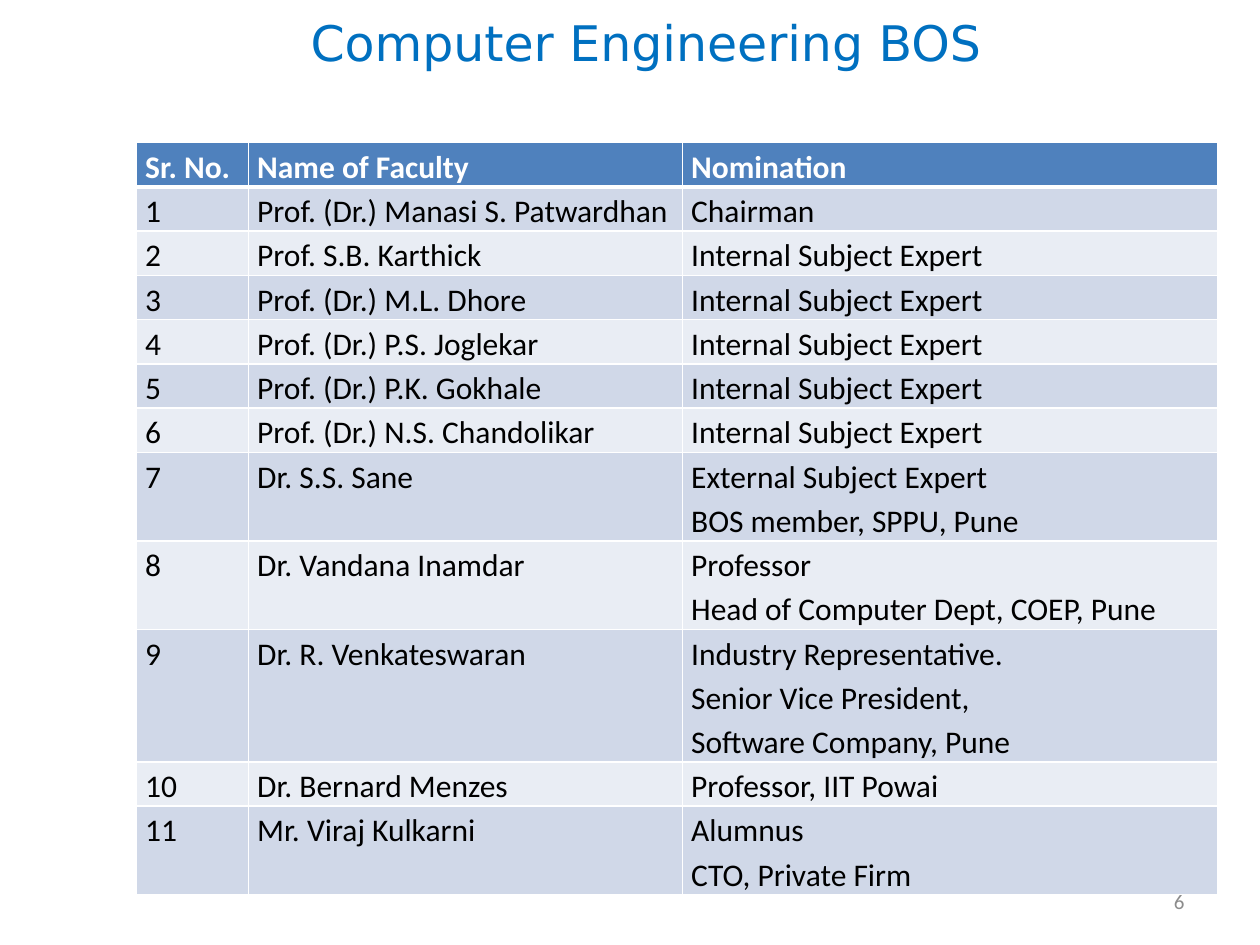
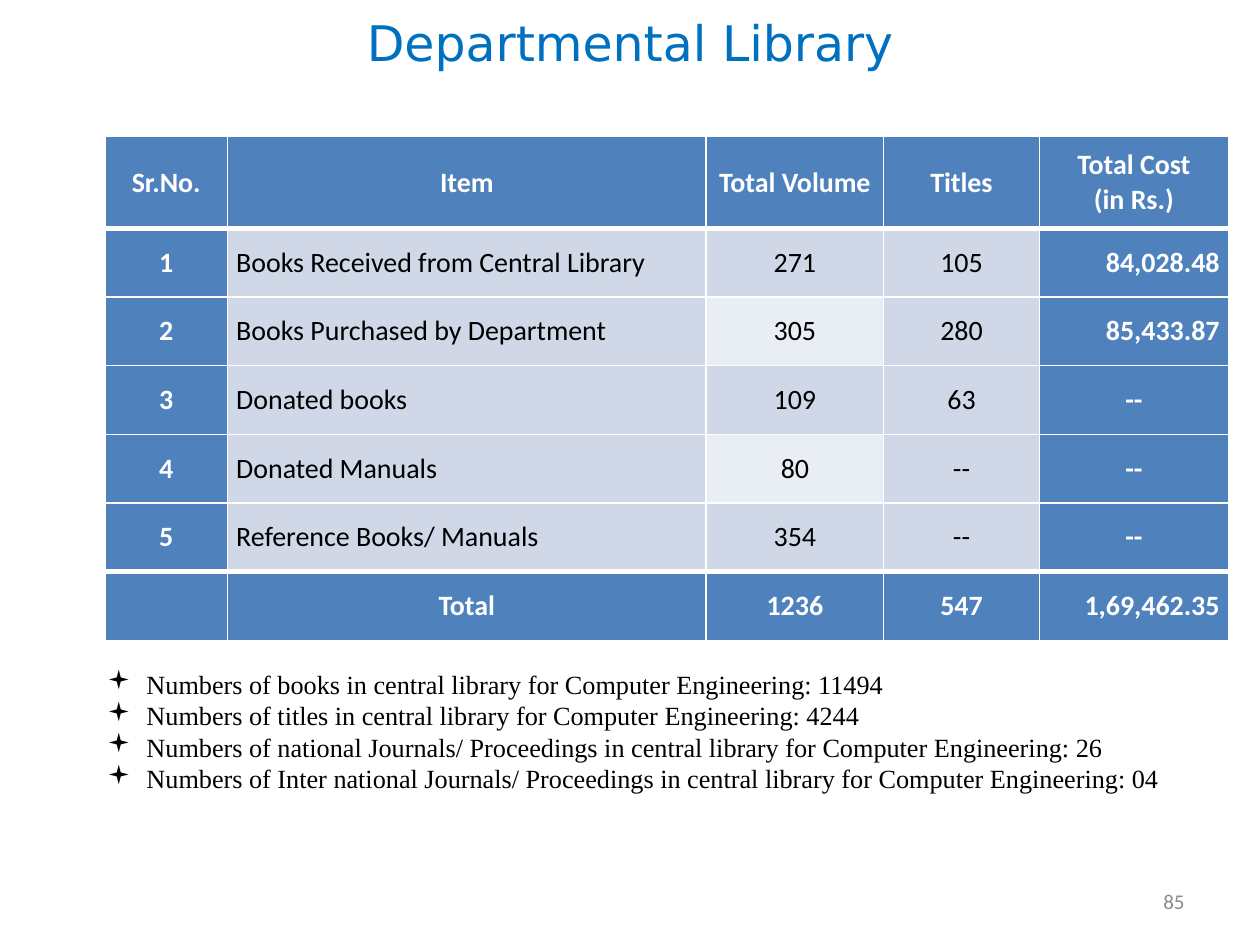
"""Build the board of studies and departmental library slides."""
from lxml import etree
from pptx import Presentation
from pptx.dml.color import RGBColor
from pptx.enum.text import MSO_ANCHOR, MSO_AUTO_SIZE, PP_ALIGN
from pptx.oxml.ns import qn
from pptx.util import Pt

LEFT, CENTER, RIGHT, JUSTIFY = PP_ALIGN.LEFT, PP_ALIGN.CENTER, PP_ALIGN.RIGHT, PP_ALIGN.JUSTIFY
TOP, MIDDLE = MSO_ANCHOR.TOP, MSO_ANCHOR.MIDDLE
NO_FIT = MSO_AUTO_SIZE.NONE
TITLE_AND_BODY, TITLE_ONLY = 1, 5

COLORS = {"title": "0070C0", "header": "4F81BD", "band": "D0D8E8", "light": "E9EDF4",
          "white": "FFFFFF", "black": "000000", "number": "8C8C8C"}
TITLE_FONT = {"size": Pt(28), "name": "DejaVu Sans", "bold": False}
NUMBER_FONT = {"size": Pt(12), "name": "Calibri"}
LIST_FONT = {"size": Pt(15), "name": "Times New Roman"}
FRAME = {"word_wrap": True, "auto_size": NO_FIT}
CELL_MARGINS = {"margin_left": Pt(5), "margin_right": Pt(5), "margin_top": 0, "margin_bottom": 0}
THIN, THICK = Pt(1), Pt(3)

EXPERT = "Internal Subject Expert"
BOARD = [
    ("Sr. No.", "Name of Faculty", "Nomination"),
    ("1", "Prof. (Dr.) Manasi S. Patwardhan", "Chairman"),
    ("2", "Prof. S.B. Karthick", EXPERT),
    ("3", "Prof. (Dr.) M.L. Dhore", EXPERT),
    ("4", "Prof. (Dr.) P.S. Joglekar", EXPERT),
    ("5", "Prof. (Dr.) P.K. Gokhale", EXPERT),
    ("6", "Prof. (Dr.) N.S. Chandolikar", EXPERT),
    ("7", "Dr. S.S. Sane", "External Subject Expert\nBOS member, SPPU, Pune"),
    ("8", "Dr. Vandana Inamdar", "Professor\nHead of Computer Dept, COEP, Pune"),
    ("9", "Dr. R. Venkateswaran",
     "Industry Representative.\nSenior Vice President,\nSoftware Company, Pune"),
    ("10", "Dr. Bernard Menzes", "Professor, IIT Powai"),
    ("11", "Mr. Viraj Kulkarni", "Alumnus\nCTO, Private Firm"),
]
LIBRARY = [
    ("Sr.No.", "Item", "Total Volume", "Titles", "Total Cost\n(in Rs.)"),
    ("1", "Books Received from Central Library", "271", "105", "84,028.48"),
    ("2", "Books Purchased by Department", "305", "280", "85,433.87"),
    ("3", "Donated books", "109", "63", "--"),
    ("4", "Donated Manuals", "80", "--", "--"),
    ("5", "Reference Books/ Manuals", "354", "--", "--"),
    ("", "Total", "1236", "547", "1,69,462.35"),
]
HOLDINGS = [
    "Numbers of books in central library for Computer Engineering: 11494",
    "Numbers of titles in central library for Computer Engineering: 4244",
    "Numbers of national Journals/ Proceedings in central library for Computer Engineering: 26",
    "Numbers of Inter national Journals/ Proceedings in central library for Computer Engineering: 04",
]


def apply(target, values):
    for attribute, value in values.items():
        setattr(target, attribute, value)


def place(shape, left, top, width, height):
    apply(shape, {"left": Pt(left), "top": Pt(top), "width": Pt(width), "height": Pt(height)})


def write(frame, text, font, color, paragraph_format):
    frame.text = text
    for paragraph in frame.paragraphs:
        apply(paragraph, paragraph_format)
        for run in paragraph.runs:
            apply(run.font, font)
            run.font.color.rgb = RGBColor.from_string(COLORS[color])


def add_titled_slide(deck, layout, title, number, left, width):
    slide = deck.slides.add_slide(deck.slide_layouts[layout])
    heading = slide.shapes.title
    place(heading, left, 0, width, 48)
    apply(heading.text_frame, {**FRAME, "vertical_anchor": MIDDLE})
    write(heading.text_frame, title, TITLE_FONT, "title", {"alignment": CENTER})
    page = slide.shapes.add_textbox(Pt(516), Pt(500.5), Pt(168), Pt(28.75))
    apply(page.text_frame, {**FRAME, "vertical_anchor": MIDDLE})
    write(page.text_frame, number, NUMBER_FONT, "number", {"alignment": RIGHT})
    return slide


def draw_borders(cell, top, bottom):
    properties = cell._tc.get_or_add_tcPr()
    for side, width in (("L", THIN), ("R", THIN), ("T", top), ("B", bottom)):
        line = etree.SubElement(properties, qn(f"a:ln{side}"), w=str(width))
        fill = etree.SubElement(line, qn("a:solidFill"))
        etree.SubElement(fill, qn("a:srgbClr"), val=COLORS["white"])


def add_grid(slide, rows, left, top, widths, heights, thick_above, style_cell):
    grid = slide.shapes.add_table(len(rows), len(widths), Pt(left), Pt(top),
                                  Pt(sum(widths)), Pt(sum(heights))).table
    for column, width in zip(grid.columns, widths):
        column.width = Pt(width)
    for r, (texts, height) in enumerate(zip(rows, heights)):
        grid.rows[r].height = Pt(height)
        edges = [THICK if edge in thick_above else THIN for edge in (r, r + 1)]
        for c, text in enumerate(texts):
            cell = grid.cell(r, c)
            fill, size, anchor, paragraph_format = style_cell(r, c, text)
            apply(cell, {**CELL_MARGINS, "vertical_anchor": anchor})
            draw_borders(cell, *edges)
            cell.fill.solid()
            cell.fill.fore_color.rgb = RGBColor.from_string(COLORS[fill])
            strong = fill == "header"
            font = {"size": Pt(size), "name": "Calibri", "bold": strong}
            write(cell.text_frame, text, font, "white" if strong else "black", paragraph_format)


def style_board(r, c, text):
    fill = "header" if r == 0 else "band" if r % 2 else "light"
    return fill, 18, TOP, {"alignment": JUSTIFY, "line_spacing": 1.15}


def style_library(r, c, text):
    last_row, last_column = len(LIBRARY) - 1, len(LIBRARY[0]) - 1
    if r in (0, last_row) or c in (0, last_column):
        fill = "header"
    else:
        fill = "light" if c == 2 and r % 2 == 0 else "band"
    alignment = CENTER
    if c == 1 and 0 < r < last_row:
        alignment = LEFT
    elif c == last_column and r > 0 and text != "--":
        alignment = RIGHT
    return fill, 16, MIDDLE, {"alignment": alignment}


def add_bullets(body, items):
    apply(body.text_frame, FRAME)
    write(body.text_frame, "\n".join(items), LIST_FONT, "black", {"space_before": 0})
    for paragraph in body.text_frame.paragraphs:
        properties = paragraph._p.get_or_add_pPr()
        properties.set("marL", str(Pt(22.5)))
        properties.set("indent", str(Pt(-22.5)))
        etree.SubElement(properties, qn("a:buFont"), typeface="Wingdings")
        etree.SubElement(properties, qn("a:buChar"), char="▪")


def main():
    deck = Presentation()
    apply(deck, {"slide_width": Pt(720), "slide_height": Pt(540)})

    board = add_titled_slide(deck, TITLE_ONLY, "Computer Engineering BOS", "6", 48, 642)
    line_counts = [row[-1].count("\n") + 1 for row in BOARD]
    add_grid(board, BOARD, 78, 81.5, (64, 248, 306), [25 * count for count in line_counts],
             {1}, style_board)

    library = add_titled_slide(deck, TITLE_AND_BODY, "Departmental Library", "85", 36, 648)
    add_grid(library, LIBRARY, 60, 78, (70, 273.5, 101.5, 89, 108), [52.5] + [39.25] * 6,
             {1, len(LIBRARY) - 1}, style_library)
    holdings = library.placeholders[1]
    place(holdings, 54, 378, 654, 80)
    add_bullets(holdings, HOLDINGS)

    deck.save("out.pptx")


if __name__ == "__main__":
    main()
